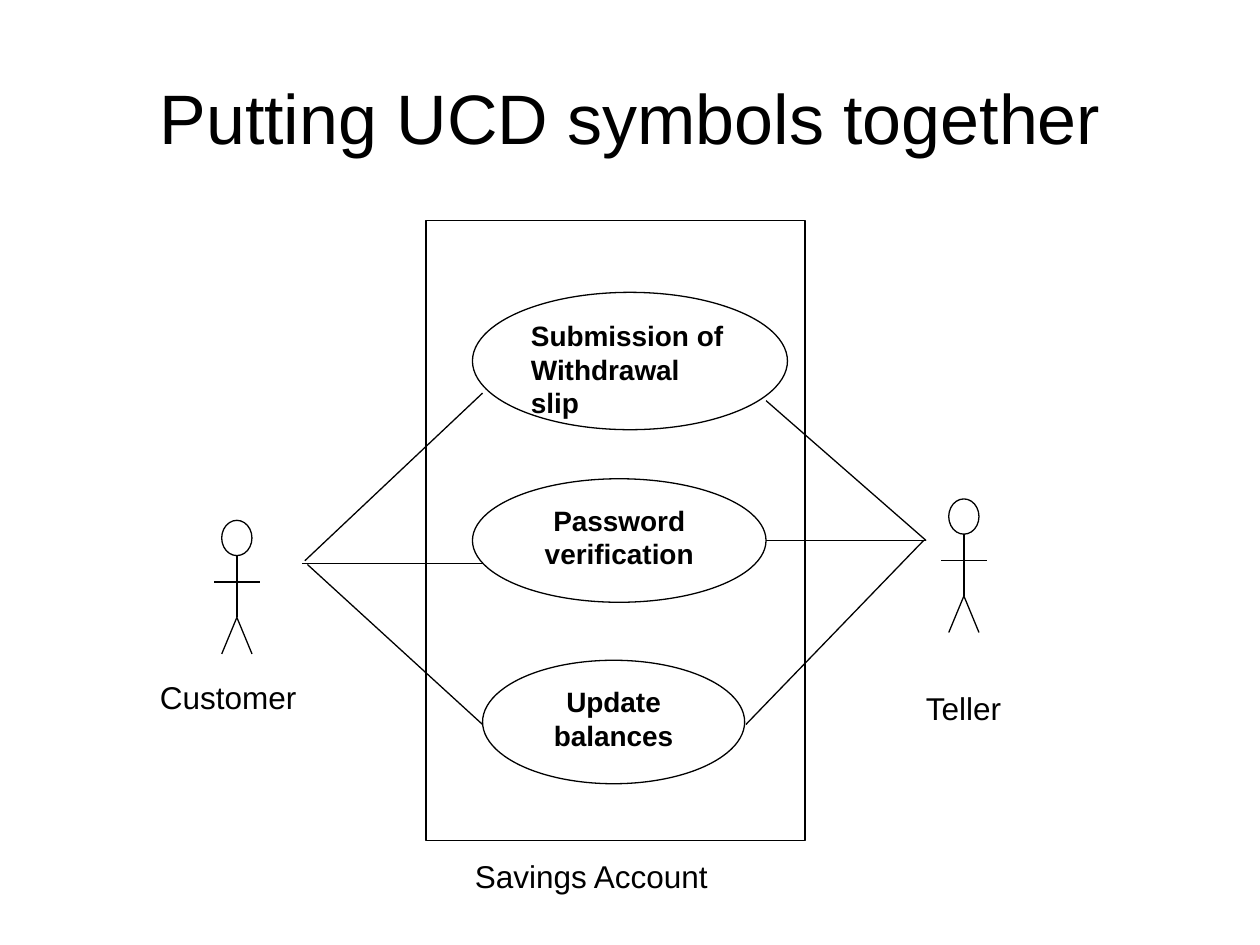
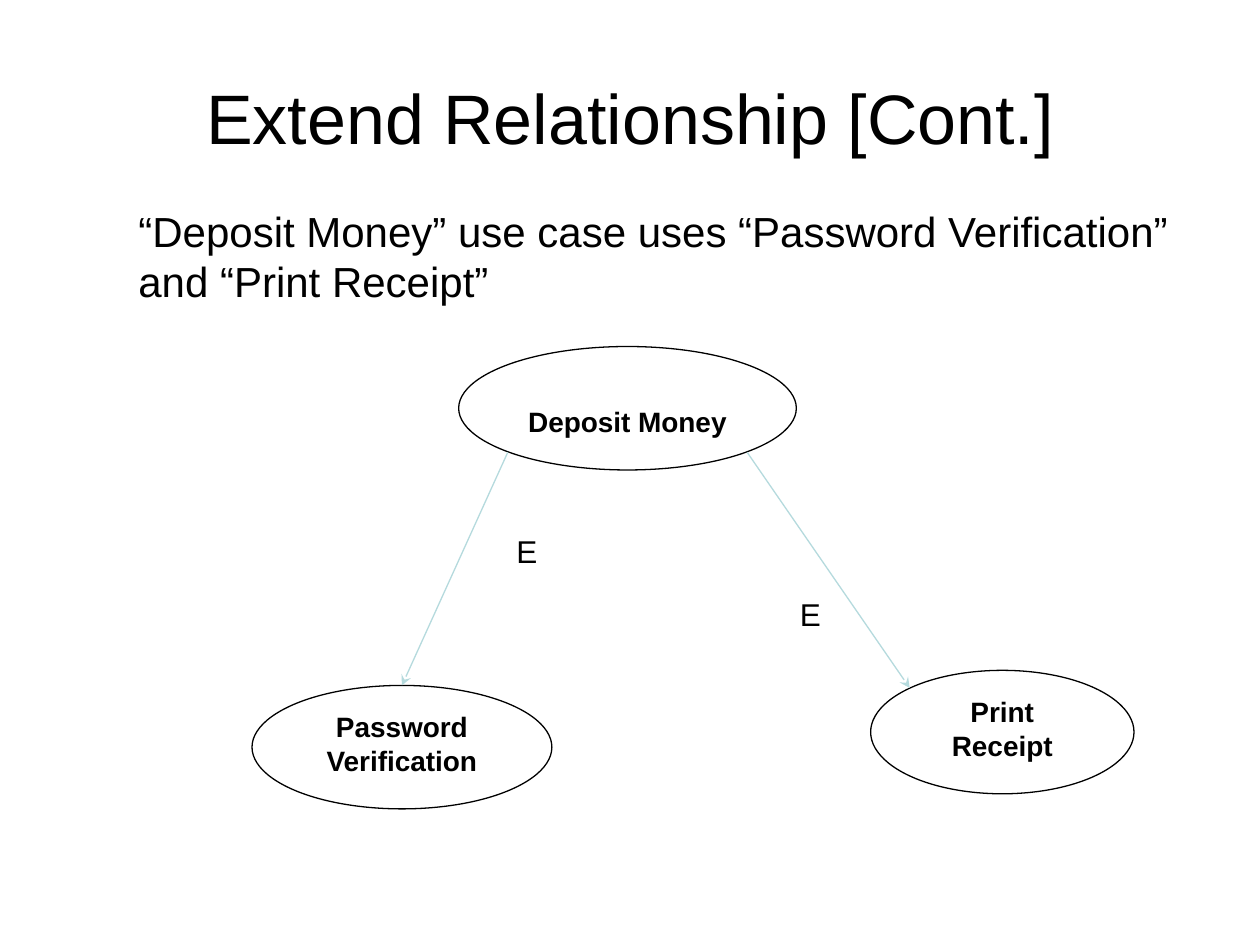
from dataclasses import dataclass
from math import cos, radians, sin
from typing import NamedTuple

from lxml.etree import SubElement
from pptx import Presentation
from pptx.dml.color import RGBColor
from pptx.enum.shapes import MSO_CONNECTOR, MSO_SHAPE
from pptx.enum.text import MSO_ANCHOR, PP_ALIGN
from pptx.oxml.ns import qn
from pptx.util import Pt

EMU_PER_PX = 9144  # 100 px to the inch


@dataclass(frozen=True)
class Theme:
    font: str = "Arial"
    ink: RGBColor = RGBColor(0x00, 0x00, 0x00)
    paper: RGBColor = RGBColor(0xFF, 0xFF, 0xFF)
    arrow: RGBColor = RGBColor(0xB5, 0xDA, 0xDD)
    title_size: int = 40
    body_size: int = 24
    label_size: int = 18
    use_case_size: int = 16
    line_width: float = 0.75


THEME = Theme()


class Box(NamedTuple):
    left: int
    top: int
    width: int
    height: int

    def rim(self, degrees):
        """Return the point of the inscribed ellipse, clockwise from its right end."""
        angle = radians(degrees)
        return (round(self.left + self.width / 2 * (1 + cos(angle))),
                round(self.top + self.height / 2 * (1 + sin(angle))))


def px(*lengths):
    return [length * EMU_PER_PX for length in lengths]


def write(shape, text, size=THEME.label_size, bold=False, align=PP_ALIGN.LEFT,
          anchor=MSO_ANCHOR.TOP, inset_top=5):
    frame = shape.text_frame
    frame.word_wrap = True
    frame.vertical_anchor = anchor
    frame.margin_left, frame.margin_top, frame.margin_right, frame.margin_bottom = px(
        10, inset_top, 10, 5)
    paragraph = frame.paragraphs[0]
    paragraph.alignment = align
    run = paragraph.add_run()
    run.text = text
    run.font.name = THEME.font
    run.font.size = Pt(size)
    run.font.bold = bold
    run.font.color.rgb = THEME.ink


def add_text(slide, box, text, **text_format):
    write(slide.shapes.add_textbox(*px(*box)), text, **text_format)


def add_outline(shapes, kind, box):
    shape = shapes.add_shape(kind, *px(*box))
    shape.shadow.inherit = False
    shape.fill.solid()
    shape.fill.fore_color.rgb = THEME.paper
    shape.line.color.rgb = THEME.ink
    shape.line.width = Pt(THEME.line_width)
    return shape


def add_line(shapes, start, end, color=THEME.ink, arrow=False):
    connector = shapes.add_connector(MSO_CONNECTOR.STRAIGHT, *px(*start, *end))
    connector.line.color.rgb = color
    connector.line.width = Pt(THEME.line_width)
    if arrow:
        SubElement(connector.line._get_or_add_ln(), qn("a:tailEnd"), type="stealth")
    SubElement(connector._element.spPr, qn("a:effectLst"))


def add_use_case(slide, box, text, align=PP_ALIGN.CENTER, **text_format):
    ellipse = add_outline(slide.shapes, MSO_SHAPE.OVAL, box)
    write(ellipse, text, size=THEME.use_case_size, bold=True, align=align, **text_format)


def add_actor(slide, box):
    """Draw a stick figure that fills the box."""
    shapes = slide.shapes.add_group_shape().shapes
    left, top, width, height = box
    middle, right = left + width // 2, left + width
    head_width, head_height = 24, 28
    head_left = middle - head_width // 2
    arms, hip, feet = top + 49, top + 77, top + height
    add_outline(shapes, MSO_SHAPE.OVAL, Box(head_left, top, head_width, head_height))
    add_line(shapes, (middle, top + head_height), (middle, hip))
    for foot in (head_left, head_left + head_width):
        add_line(shapes, (middle, hip), (foot, feet))
    add_line(shapes, (left, arms), (right, arms))


def add_title_slide(presentation, title):
    """Add a blank slide with the shared title style."""
    slide = presentation.slides.add_slide(presentation.slide_layouts[6])
    add_text(slide, Box(50, 30, 900, 125), title, size=THEME.title_size,
             align=PP_ALIGN.CENTER, anchor=MSO_ANCHOR.MIDDLE)
    return slide


def build_savings_account(presentation):
    slide = add_title_slide(presentation, "Putting UCD symbols together")
    add_outline(slide.shapes, MSO_SHAPE.RECTANGLE, Box(338, 175, 301, 492))

    submission = Box(375, 232, 250, 109)
    password = Box(375, 380, 233, 98)
    balances = Box(383, 524, 208, 98)
    add_use_case(slide, submission, "Submission of Withdrawal slip", align=PP_ALIGN.LEFT)
    add_use_case(slide, password, "Password verification")
    add_use_case(slide, balances, "Update balances")

    for left, top in ((170, 413), (747, 396)):
        add_actor(slide, Box(left, top, 36, 106))

    customer_links = (((242, 445), (383, 312)), ((240, 447), (383, 447)),
                      ((244, 448), (383, 575)))
    teller = (735, 429)
    teller_links = (((608, 318), teller), (password.rim(0), teller),
                    ((592, 575), (733, 429)))
    for start, end in customer_links + teller_links:
        add_line(slide.shapes, start, end)

    add_text(slide, Box(725, 542, 125, 50), "Teller")
    add_text(slide, Box(117, 533, 158, 50), "Customer")
    add_text(slide, Box(367, 675, 308, 50), "Savings Account")


def build_extend_relationship(presentation):
    slide = add_title_slide(presentation, "Extend Relationship [Cont.]")
    add_text(slide, Box(100, 158, 875, 91),
             "“Deposit Money” use case uses “Password Verification” and “Print Receipt”",
             size=THEME.body_size)

    deposit = Box(364, 275, 268, 98)
    password = Box(200, 544, 238, 98)
    receipt = Box(691, 532, 209, 98)
    add_use_case(slide, deposit, "Deposit Money", inset_top=32)
    add_use_case(slide, password, "Password Verification")
    add_use_case(slide, receipt, "Print Receipt")

    for left, top in ((400, 417), (625, 467)):
        add_text(slide, Box(left, top, 158, 40), "E")
    for start, end in ((deposit.rim(135), password.rim(270)),
                       (deposit.rim(45), receipt.rim(225))):
        add_line(slide.shapes, start, end, color=THEME.arrow, arrow=True)


def main():
    presentation = Presentation()
    presentation.slide_width, presentation.slide_height = px(1000, 750)
    build_savings_account(presentation)
    build_extend_relationship(presentation)
    presentation.save("out.pptx")


if __name__ == "__main__":
    main()
